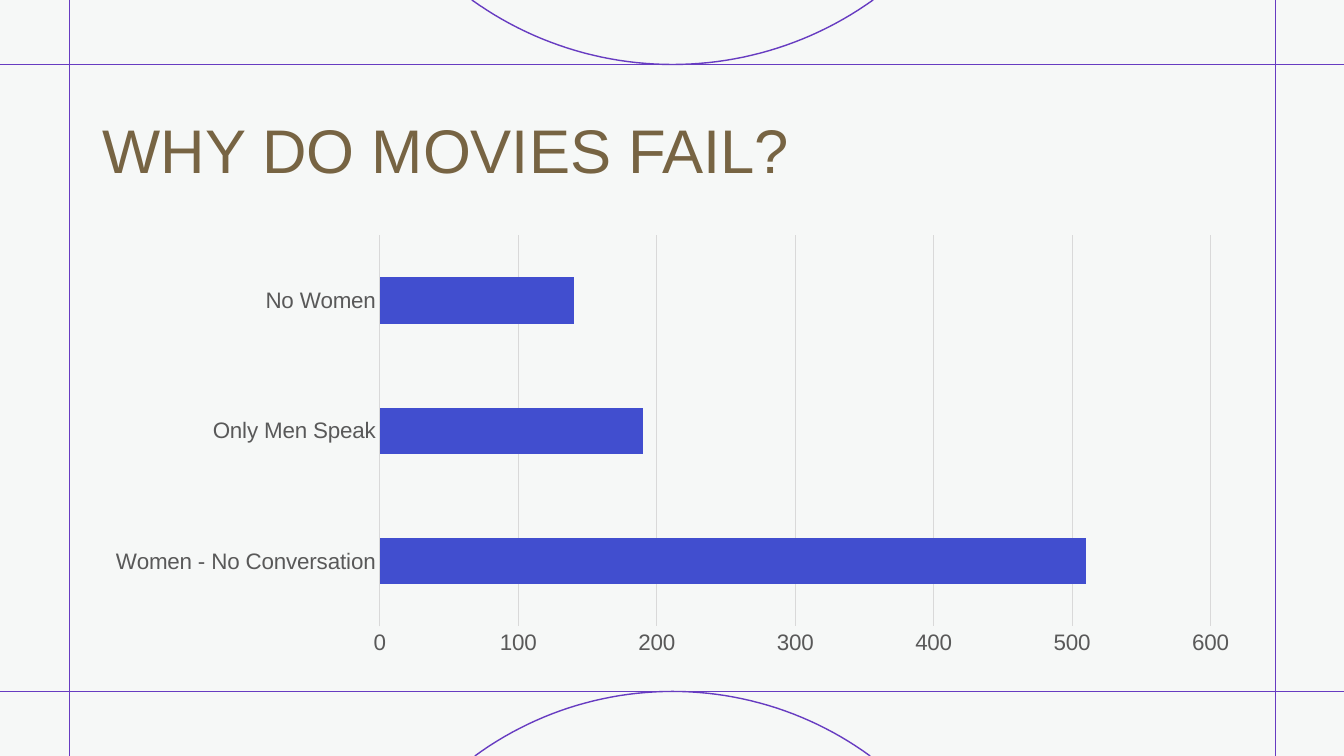
from dataclasses import dataclass
from math import asin, cos, sin

from lxml import etree
from pptx import Presentation
from pptx import util as u
from pptx.chart import data
from pptx.dml import color
from pptx.enum import chart as ch
from pptx.enum import shapes, text
from pptx.oxml import ns


@dataclass(frozen=True)
class Theme:
    font: str = "Arial"
    paper: str = "F6F8F7"
    frame: str = "673CC1"
    title: str = "776443"
    label: str = "595959"
    grid: str = "D9D9D9"
    bar: str = "414ECF"
    head: int = 44
    tick: int = 16
    rule: float = 1
    hair: float = 0.75


@dataclass(frozen=True)
class Rule:
    x1: float
    y1: float
    x2: float
    y2: float


@dataclass(frozen=True)
class Arc:
    mid: float
    edge: float
    half: float
    rise: float
    side: int


LOOK = Theme()
WIDE, HIGH = 13.33, 7.5
TOP, BASE = 0.64, 6.86
LEFT, RIGHT = 0.69, 12.65
RULES = [Rule(0, y, WIDE, y) for y in (BASE, TOP)]
RULES += [Rule(x, HIGH, x, 0) for x in (RIGHT, LEFT)]
ARCS = [
    Arc(6.67, TOP, 1.99, TOP, -1),
    Arc(6.67, BASE, 1.96, HIGH - BASE, 1),
]
STEPS = 48
BARS = {"Women - No Conversation": 510, "Only Men Speak": 190, "No Women": 140}


def tint(code: str) -> color.RGBColor:
    return color.RGBColor.from_string(code)


def ink(line, code: str, size: float) -> None:
    line.color.rgb = tint(code)
    line.width = u.Pt(size)


def type_as(font, size: float, code: str) -> None:
    font.name = LOOK.font
    font.size = u.Pt(size)
    font.bold = False
    font.color.rgb = tint(code)


def add_rule(slide, rule: Rule) -> None:
    ends = [u.Inches(v) for v in (rule.x1, rule.y1, rule.x2, rule.y2)]
    line = slide.shapes.add_connector(shapes.MSO_CONNECTOR.STRAIGHT, *ends)
    ink(line.line, LOOK.frame, LOOK.rule)
    etree.SubElement(line._element.spPr, ns.qn("a:effectLst"))


def add_arc(slide, arc: Arc) -> None:
    radius = (arc.half**2 + arc.rise**2) / (2 * arc.rise)
    sweep = asin(arc.half / radius)
    turns = [sweep * (2 * i / STEPS - 1) for i in range(STEPS + 1)]
    dots = [
        (
            u.Inches(arc.mid + radius * sin(t)),
            u.Inches(arc.edge + arc.side * radius * (1 - cos(t))),
        )
        for t in turns
    ]
    pen = slide.shapes.build_freeform(*dots[0])
    pen.add_line_segments(dots[1:], close=False)
    curve = pen.convert_to_shape()
    curve.fill.background()
    curve.shadow.inherit = False
    ink(curve.line, LOOK.frame, LOOK.rule)


def add_text(slide, words: str, *, x: float, y: float, w: float, h: float,
             size: float, code: str) -> None:
    box = slide.shapes.add_textbox(*map(u.Inches, (x, y, w, h)))
    frame = box.text_frame
    frame.word_wrap = True
    frame.vertical_anchor = text.MSO_ANCHOR.MIDDLE
    para = frame.paragraphs[0]
    para.line_spacing = 0.9
    run = para.add_run()
    run.text = words
    type_as(run.font, size, code)


def add_bars(slide, *, x: float, y: float, w: float, h: float) -> None:
    facts = data.CategoryChartData()
    facts.categories = list(BARS)
    facts.add_series("Series 1", list(BARS.values()))
    spot = map(u.Inches, (x, y, w, h))
    chart = slide.shapes.add_chart(
        ch.XL_CHART_TYPE.BAR_CLUSTERED, *spot, facts
    ).chart
    chart.has_title = False
    chart.has_legend = False
    type_as(chart.font, LOOK.tick, LOOK.label)

    plot = chart.plots[0]
    plot.gap_width = 182
    plot.vary_by_categories = False
    fill = plot.series[0].format.fill
    fill.solid()
    fill.fore_color.rgb = tint(LOOK.bar)

    names, scale = chart.category_axis, chart.value_axis
    for axis in (names, scale):
        axis.major_tick_mark = ch.XL_TICK_MARK.NONE
        axis.minor_tick_mark = ch.XL_TICK_MARK.NONE
        type_as(axis.tick_labels.font, LOOK.tick, LOOK.label)
    names.has_major_gridlines = False
    ink(names.format.line, LOOK.grid, LOOK.hair)
    scale.minimum_scale = 0
    scale.maximum_scale = 600
    scale.major_unit = 100
    scale.has_major_gridlines = True
    ink(scale.major_gridlines.format.line, LOOK.grid, LOOK.hair)
    scale.format.line.fill.background()


def main() -> None:
    deck = Presentation()
    deck.slide_width = u.Inches(WIDE)
    deck.slide_height = u.Inches(HIGH)
    slide = deck.slides.add_slide(deck.slide_layouts[6])
    fill = slide.background.fill
    fill.solid()
    fill.fore_color.rgb = tint(LOOK.paper)
    for rule in RULES:
        add_rule(slide, rule)
    for arc in ARCS:
        add_arc(slide, arc)
    add_text(slide, "WHY DO MOVIES FAIL?", x=0.92, y=0.8, w=11.5, h=1.45,
             size=LOOK.head, code=LOOK.title)
    add_bars(slide, x=0.92, y=2.25, w=11.5, h=4.33)
    deck.save("out.pptx")


if __name__ == "__main__":
    main()
